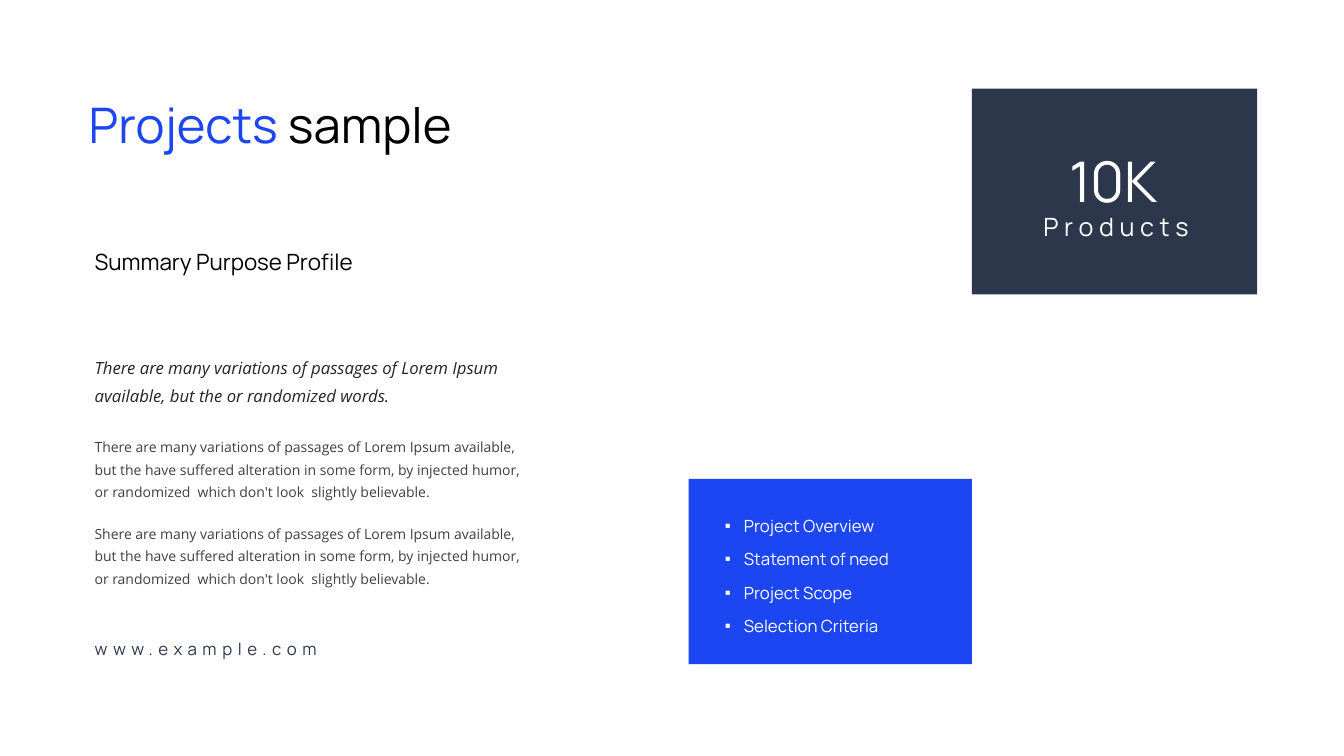
from lxml import etree
from pptx import Presentation, util as u
from pptx.dml.color import RGBColor
from pptx.enum import shapes, text
from pptx.oxml.ns import qn

PX = 9144
HEAD, BODY = "Manrope", "Open Sans"
BLUE = RGBColor(0x1C, 0x46, 0xF2)
NAVY = RGBColor(0x2D, 0x37, 0x4B)
BLACK = RGBColor(0, 0, 0)
DARK = RGBColor(0x26, 0x26, 0x26)
GREY = RGBColor(0x40, 0x40, 0x40)
WHITE = RGBColor(0xFF, 0xFF, 0xFF)

PASSAGE = ("here are many variations of passages of Lorem Ipsum available, "
           "but the have suffered alteration in some form, by injected humor, "
           "or randomized  which don't look  slightly believable.")
TOPICS = ["Project Overview", "Statement of need", "Project Scope", "Selection Criteria"]


def px(*lengths):
    return [u.Emu(n * PX) for n in lengths]


def add_run(p, words, size, color, font=HEAD, italic=False, spacing=0):
    r = p.add_run()
    r.text = words
    r.font.name, r.font.size, r.font.italic = font, u.Pt(size), italic
    r.font.color.rgb = color
    if spacing:
        r._r.get_or_add_rPr().set("spc", str(spacing * 100))


def add_panel(s, x, y, w, h, color):
    sp = s.shapes.add_shape(shapes.MSO_SHAPE.RECTANGLE, *px(x, y, w, h))
    sp.shadow.inherit = False
    sp.fill.solid()
    sp.fill.fore_color.rgb = color
    sp.line.fill.background()


def add_text(s, x, y, w, h, words, size, color, leading=None, center=False, **style):
    tf = s.shapes.add_textbox(*px(x, y, w, h)).text_frame
    tf.word_wrap = True
    p = tf.paragraphs[0]
    if leading:
        p.line_spacing = u.Pt(leading)
    if center:
        p.alignment = text.PP_ALIGN.CENTER
    add_run(p, words, size, color, **style)


def add_title(s, x, y, w, h):
    sp = s.shapes.title
    sp.left, sp.top, sp.width, sp.height = px(x, y, w, h)
    tf = sp.text_frame
    tf.auto_size = text.MSO_AUTO_SIZE.NONE
    tf.vertical_anchor = text.MSO_ANCHOR.TOP
    p = tf.paragraphs[0]
    p.alignment = text.PP_ALIGN.LEFT
    p.line_spacing = u.Pt(45)
    add_run(p, "Projects ", 35, BLUE)
    add_run(p, "sample", 35, BLACK)


def add_summary(s, x, y, w):
    add_text(s, x, y, 315, 37, "Summary Purpose Profile", 16, BLACK, leading=20)
    add_text(s, x, y + 102, w, 64,
             "There are many variations of passages of Lorem Ipsum available, "
             "but the or randomized words.",
             12, DARK, leading=20, font=BODY, italic=True)
    for i, initial in enumerate("TS"):
        add_text(s, x, y + 185 + 86 * i, w - 4, 75, initial + PASSAGE,
                 10, GREY, leading=16, font=BODY)
    add_text(s, x, y + 389, 277, 30, "www.example.com", 12, NAVY, spacing=4)


def add_topics(s, x, y, w, h):
    add_panel(s, x, y, w, h, BLUE)
    tf = s.shapes.add_textbox(*px(x + 26, y + 24, 223, 136)).text_frame
    tf.word_wrap = True
    for i, topic in enumerate(TOPICS):
        p = tf.paragraphs[0] if i == 0 else tf.add_paragraph()
        pPr = p._p.get_or_add_pPr()
        pPr.set("marL", str(19 * PX))
        pPr.set("indent", str(-19 * PX))
        etree.SubElement(pPr, qn("a:buFont")).set("typeface", "Arial")
        etree.SubElement(pPr, qn("a:buChar")).set("char", "▪")
        p.line_spacing = u.Pt(20)
        if i:
            p.space_before = u.Pt(3.76)
        add_run(p, topic, 12, WHITE)


def add_figure(s, x, y, w, h):
    add_panel(s, x, y, w, h, NAVY)
    add_text(s, x + 41, y + 117, 204, 40, "Products", 18, WHITE, center=True, spacing=4)
    add_text(s, x + 73, y + 52, 135, 77, "10K", 40, WHITE, center=True)


def main():
    prs = Presentation()
    prs.slide_width, prs.slide_height = px(1333, 750)
    s = prs.slides.add_slide(prs.slide_layouts[5])
    add_title(s, 78, 85, 439, 71)
    add_summary(s, 84, 240, 460)
    add_topics(s, 683, 475, 281, 184)
    add_figure(s, 964, 88, 283, 204)
    prs.save("out.pptx")


if __name__ == "__main__":
    main()
